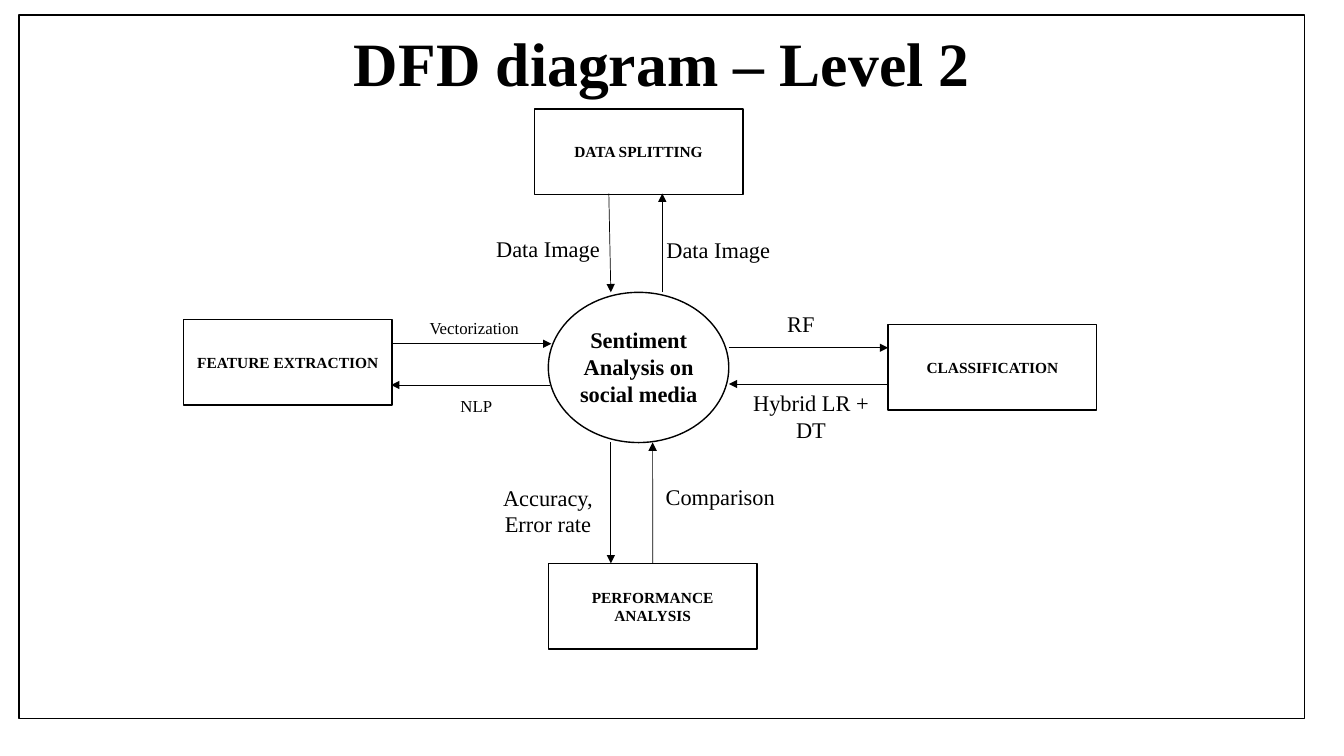
from dataclasses import dataclass

from lxml.etree import SubElement as Sub
from pptx import Presentation as Deck
from pptx.dml.color import RGBColor
from pptx.enum.shapes import MSO_CONNECTOR as Wire, MSO_SHAPE as Form
from pptx.enum.text import MSO_ANCHOR as Anchor, MSO_AUTO_SIZE as Fit, PP_ALIGN as Align
from pptx.oxml.ns import qn
from pptx.util import Emu, Inches, Pt

BLACK = RGBColor(0, 0, 0)
WHITE = RGBColor(255, 255, 255)
FONT = "Times New Roman"
WIDE, HIGH = Inches(13.333), Inches(7.5)
BOX_W, BOX_H = 15.53, 11.33
TAG_W = 10.88


@dataclass
class Box:
    text: str
    left: float
    top: float


@dataclass
class Tag:
    text: str
    left: float
    top: float
    size: int = 16
    rows: int = 1
    bold: bool = False


@dataclass
class Arrow:
    start: tuple[float, float]
    end: tuple[float, float]
    source: str = ""
    side: int = 0


BOXES = [
    Box("CLASSIFICATION", 66.08, 42.93),
    Box("FEATURE EXTRACTION", 13.65, 42.27),
    Box("PERFORMANCE ANALYSIS", 40.8, 74.53),
    Box("DATA SPLITTING", 39.75, 14.4),
]
ARROWS = [
    Arrow((29.18, 45.47), (41.03, 45.47)),
    Arrow((54.23, 46), (66.08, 46)),
    Arrow((66.08, 50.8), (54.23, 50.8)),
    Arrow((40.95, 50.93), (29.1, 50.93)),
    Arrow((45.3, 25.6), (45.45, 38.67)),
    Arrow((49.28, 38.67), (49.28, 25.6)),
    Arrow((45.45, 58.53), (45.45, 74.53)),
    Arrow((48.56, 74.53), (48.56, 58.53), "PERFORMANCE ANALYSIS"),
]
TAGS = [
    Tag("Vectorization", 29.85, 41.33, size=12),
    Tag("RF", 54.15, 40.4),
    Tag("Hybrid LR + DT", 54.9, 50.8, rows=2),
    Tag("Sentiment Analysis on social media", 42.08, 42.53, rows=3, bold=True),
    Tag("NLP", 30, 51.73, size=12),
    Tag("Data Image", 48, 30.53),
    Tag("Data Image", 35.33, 30.4),
    Tag("Accuracy,\nError rate", 35.33, 63.33, rows=2),
    Tag("Comparison", 48.15, 63.2),
]


def across(share: float) -> Emu:
    return Emu(round(WIDE * share / 100))


def down(share: float) -> Emu:
    return Emu(round(HIGH * share / 100))


def write(shape, text: str, *, size: int, bold: bool = False,
          anchor=Anchor.MIDDLE, space: float = 1.0) -> None:
    frame = shape.text_frame
    frame.word_wrap = True
    frame.vertical_anchor = anchor
    frame.text = text
    for line in frame.paragraphs:
        line.alignment = Align.CENTER
        line.line_spacing = space
        for run in line.runs:
            font = run.font
            font.name, font.size, font.bold = FONT, Pt(size), bold
            font.color.rgb = BLACK


def draw_shape(page, form, left: float, top: float, width: float, height: float,
               fill: RGBColor | None = None):
    shape = page.shapes.add_shape(form, across(left), down(top), across(width), down(height))
    shape.shadow.inherit = False
    if fill is None:
        shape.fill.background()
    else:
        shape.fill.solid()
        shape.fill.fore_color.rgb = fill
    shape.line.color.rgb = BLACK
    shape.line.width = Pt(1)
    return shape


def draw_box(page, box: Box):
    shape = draw_shape(page, Form.RECTANGLE, box.left, box.top, BOX_W, BOX_H, WHITE)
    write(shape, box.text, size=11, bold=True)
    return shape


def draw_arrow(page, arrow: Arrow, nodes: dict) -> None:
    (x1, y1), (x2, y2) = arrow.start, arrow.end
    wire = page.shapes.add_connector(Wire.STRAIGHT, across(x1), down(y1), across(x2), down(y2))
    if arrow.source:
        wire.begin_connect(nodes[arrow.source], arrow.side)
    wire.line.color.rgb = BLACK
    wire.line.width = Pt(0.5)
    Sub(wire.line._get_or_add_ln(), qn("a:tailEnd"), type="triangle")
    Sub(wire.element.spPr, qn("a:effectLst"))


def draw_tag(page, tag: Tag) -> None:
    height = Pt(tag.rows * tag.size * 1.2) + Inches(0.1)
    shape = page.shapes.add_textbox(across(tag.left), down(tag.top), across(TAG_W), height)
    write(shape, tag.text, size=tag.size, bold=tag.bold, anchor=Anchor.TOP)
    shape.text_frame.auto_size = Fit.SHAPE_TO_FIT_TEXT


def main() -> None:
    deck = Deck()
    deck.slide_width, deck.slide_height = WIDE, HIGH
    page = deck.slides.add_slide(deck.slide_layouts[5])

    title = page.shapes.title
    title.left, title.top = across(6.15), down(1.87)
    title.width, title.height = across(86.25), down(14)
    write(title, "DFD diagram – Level 2", size=44, bold=True, space=0.9)

    border = draw_shape(page, Form.RECTANGLE, 1.43, 2, 95.63, 93.07)
    title.element.addprevious(border.element)

    draw_shape(page, Form.OVAL, 40.8, 38.67, 13.43, 19.87)
    nodes = {box.text: draw_box(page, box) for box in BOXES}
    for arrow in ARROWS:
        draw_arrow(page, arrow, nodes)
    for tag in TAGS:
        draw_tag(page, tag)

    deck.save("out.pptx")


if __name__ == "__main__":
    main()
